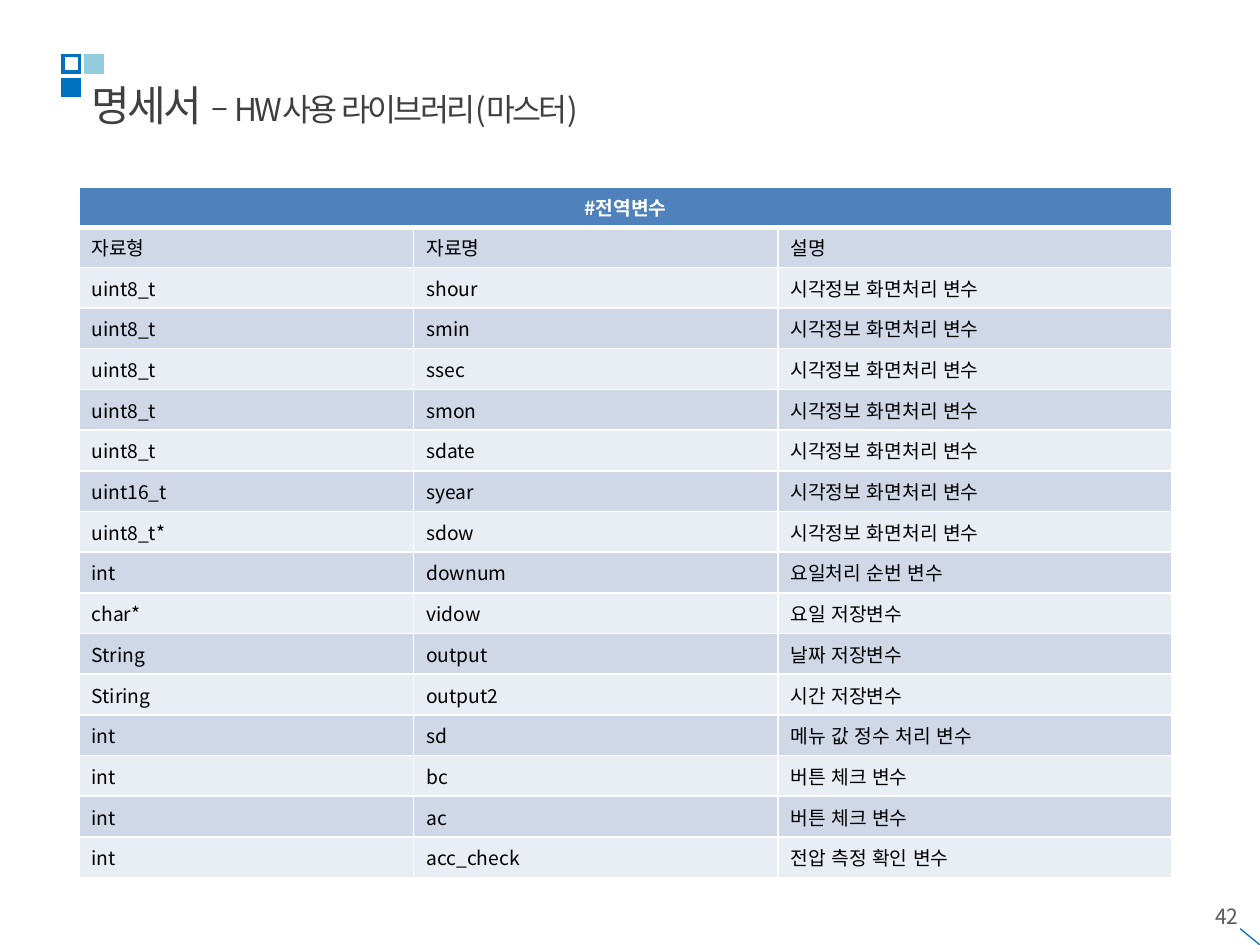
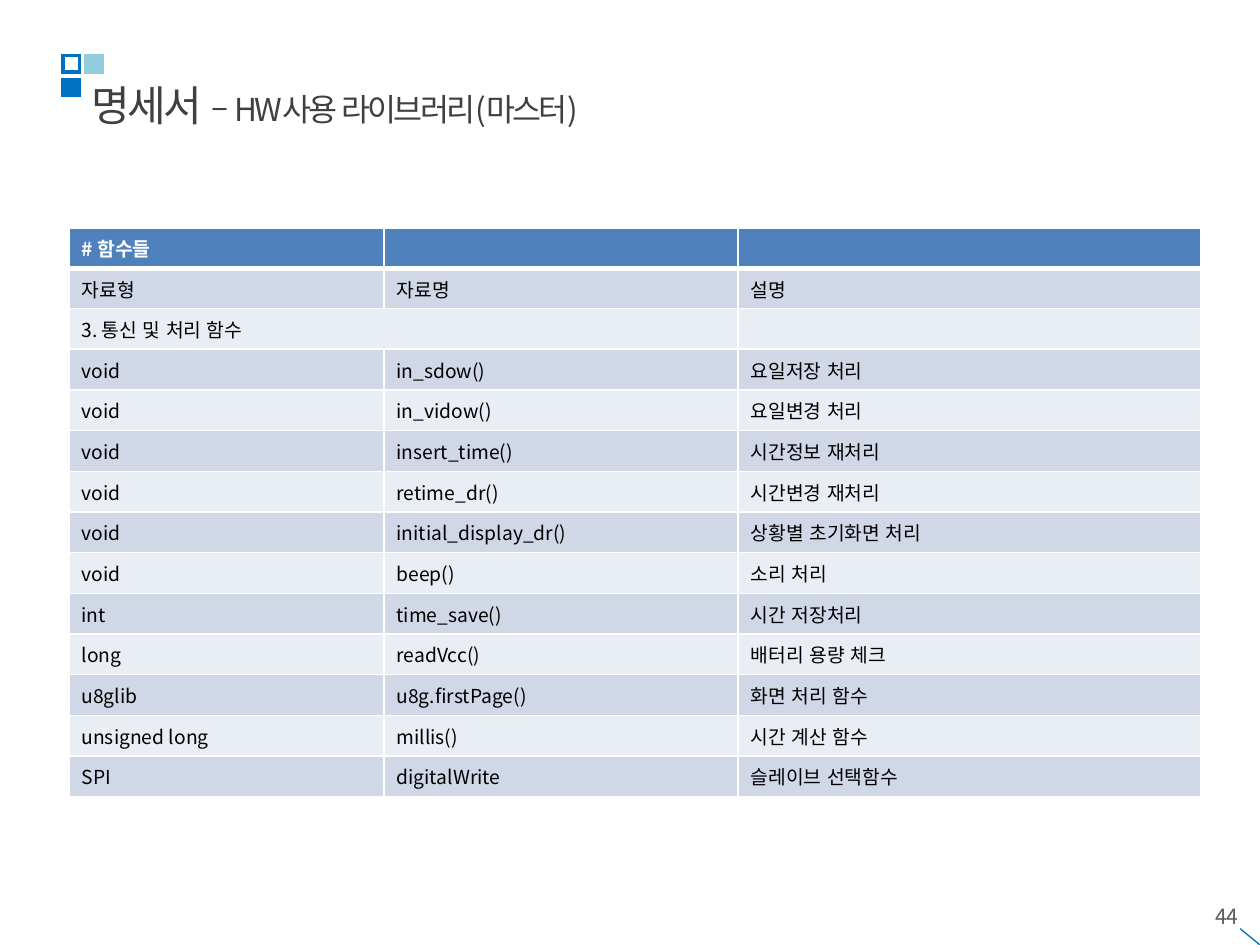
import pptx
import pptx.dml.color
import pptx.enum.shapes
import pptx.enum.text
import pptx.oxml
import pptx.oxml.ns
import pptx.util
from lxml import etree

Cm = pptx.util.Cm
Pt = pptx.util.Pt
qn = pptx.oxml.ns.qn
ALIGN = pptx.enum.text.PP_ALIGN

FONT = "Noto Sans CJK KR"
COLORS = {
    "title": "404040",
    "number": "595959",
    "outline": "595959",
    "blue": "0070C0",
    "light_blue": "93CDDD",
    "header": "4F81BD",
    "band_dark": "D0D8E8",
    "band_light": "E9EDF4",
    "white": "FFFFFF",
    "black": "000000",
}
NAMESPACE = "http://schemas.openxmlformats.org/drawingml/2006/main"
HEADING_HEIGHT = 0.81
ROW_HEIGHT = 0.82
TITLE_BOX = (1.59, 1.47, 21.82, 1.27)
NUMBER_BOX = (19.3, 18.08, 5.92, 1.02)
COLUMN_NAMES = ("자료형", "자료명", "설명")
CLOCK_NOTE = "시각정보 화면처리 변수"
CLOCK_VARIABLES = [
    ("uint8_t", "shour"),
    ("uint8_t", "smin"),
    ("uint8_t", "ssec"),
    ("uint8_t", "smon"),
    ("uint8_t", "sdate"),
    ("uint16_t", "syear"),
    ("uint8_t*", "sdow"),
]
GLOBAL_VARIABLES = [
    ("#전역변수", None, None),
    COLUMN_NAMES,
    *((kind, name, CLOCK_NOTE) for kind, name in CLOCK_VARIABLES),
    ("int", "downum", "요일처리 순번 변수"),
    ("char*", "vidow", "요일 저장변수"),
    ("String", "output", "날짜 저장변수"),
    ("Stiring", "output2", "시간 저장변수"),
    ("int", "sd", "메뉴 값 정수 처리 변수"),
    ("int", "bc", "버튼 체크 변수"),
    ("int", "ac", "버튼 체크 변수"),
    ("int", "acc_check", "전압 측정 확인 변수"),
]
FUNCTIONS = [
    ("# 함수들", "", ""),
    COLUMN_NAMES,
    ("3. 통신 및 처리 함수", None, ""),
    ("void", "in_sdow()", "요일저장 처리"),
    ("void", "in_vidow()", "요일변경 처리"),
    ("void", "insert_time()", "시간정보 재처리"),
    ("void", "retime_dr()", "시간변경 재처리"),
    ("void", "initial_display_dr()", "상황별 초기화면 처리"),
    ("void", "beep()", "소리 처리"),
    ("int", "time_save()", "시간 저장처리"),
    ("long", "readVcc()", "배터리 용량 체크"),
    ("u8glib", "u8g.firstPage()", "화면 처리 함수"),
    ("unsigned long", "millis()", "시간 계산 함수"),
    ("SPI", "digitalWrite", "슬레이브 선택함수"),
]


def rgb(name):
    return pptx.dml.color.RGBColor.from_string(COLORS[name])


def add_run(paragraph, text, size, color, bold=False):
    run = paragraph.add_run()
    run.text = text
    run.font.size = Pt(size)
    run.font.bold = bold
    run.font.name = FONT
    run.font.color.rgb = rgb(color)
    properties = run.font._element
    properties.set("lang", "ko-KR")
    latin = properties.find(qn("a:latin"))
    latin.addnext(properties.makeelement(qn("a:ea"), {"typeface": FONT}))
    return run


def outline_text(run, spacing=None):
    properties = run.font._element
    properties.insert(0, pptx.oxml.parse_xml(
        f'<a:ln xmlns:a="{NAMESPACE}" w="9525"><a:solidFill>'
        f'<a:srgbClr val="{COLORS["outline"]}"><a:alpha val="5000"/></a:srgbClr>'
        "</a:solidFill></a:ln>"))
    if spacing:
        properties.set("spc", str(spacing))


def place(shape, box):
    shape.left, shape.top, shape.width, shape.height = map(Cm, box)


def add_title(slide, box):
    title = slide.shapes.title
    place(title, box)
    frame = title.text_frame
    frame.word_wrap = True
    frame.auto_size = pptx.enum.text.MSO_AUTO_SIZE.SHAPE_TO_FIT_TEXT
    frame.vertical_anchor = pptx.enum.text.MSO_ANCHOR.TOP
    paragraph = frame.paragraphs[0]
    paragraph.alignment = ALIGN.LEFT
    for text, size in (("명세서 ", 24), ("– HW사용 라이브러리(마스터)", 18)):
        outline_text(add_run(paragraph, text, size, "title"), -150)


def add_squares(slide, left, top):
    side, column_step, row_step = 0.33, 0.46, 0.48
    squares = [
        (0, 1, "blue", "blue"),
        (0, 0, None, "blue"),
        (1, 0, "light_blue", "light_blue"),
    ]
    for column, row, fill, line in squares:
        square = slide.shapes.add_shape(
            pptx.enum.shapes.MSO_SHAPE.RECTANGLE,
            Cm(left + column * column_step), Cm(top + row * row_step),
            Cm(side), Cm(side))
        square.shadow.inherit = False
        if fill:
            square.fill.solid()
            square.fill.fore_color.rgb = rgb(fill)
        else:
            square.fill.background()
        square.line.color.rgb = rgb(line)
        square.line.width = Pt(2)
        etree.SubElement(square.line._get_or_add_ln(), qn("a:miter"), lim="800000")


def add_page_number(slide, number, box):
    left, top, width, height = box
    text_box = slide.shapes.add_textbox(*map(Cm, box))
    text_box.text_frame.word_wrap = True
    paragraph = text_box.text_frame.paragraphs[0]
    paragraph.alignment = ALIGN.RIGHT
    outline_text(add_run(paragraph, str(number), 12, "number"))
    corner = slide.shapes.add_connector(
        pptx.enum.shapes.MSO_CONNECTOR.STRAIGHT,
        Cm(25.4), Cm(19.05), Cm(left + width - 0.22), Cm(top + 0.64))
    corner.line.color.rgb = rgb("blue")
    corner.line.width = Pt(0.75)
    etree.SubElement(corner._element.spPr, qn("a:effectLst"))


def set_borders(cell, bottom):
    properties = cell._tc.get_or_add_tcPr()
    for index, (edge, width) in enumerate(
            (("lnL", 1), ("lnR", 1), ("lnT", 1), ("lnB", bottom))):
        properties.insert(index, pptx.oxml.parse_xml(
            f'<a:{edge} xmlns:a="{NAMESPACE}" w="{Pt(width)}"><a:solidFill>'
            f'<a:srgbClr val="{COLORS["white"]}"/></a:solidFill></a:{edge}>'))


def fill_cell(cell, text, row_index, centred):
    header = row_index == 0
    band = "band_dark" if row_index % 2 else "band_light"
    cell.fill.solid()
    cell.fill.fore_color.rgb = rgb("header" if header else band)
    set_borders(cell, 3 if header else 1)
    cell.vertical_anchor = pptx.enum.text.MSO_ANCHOR.MIDDLE
    paragraph = cell.text_frame.paragraphs[0]
    if centred:
        paragraph.alignment = ALIGN.CENTER
    if text:
        add_run(paragraph, text, 11, "white" if header else "black", header)
    else:
        etree.SubElement(paragraph._p, qn("a:endParaRPr"), sz="1100")


def add_listing(slide, left, top, widths, rows):
    heights = [HEADING_HEIGHT] * 2 + [ROW_HEIGHT] * (len(rows) - 2)
    table = slide.shapes.add_table(
        len(rows), len(widths), Cm(left), Cm(top),
        Cm(sum(widths)), Cm(sum(heights))).table
    for column, width in zip(table.columns, widths):
        column.width = Cm(width)
    for row_index, values in enumerate(rows):
        table.rows[row_index].height = Cm(heights[row_index])
        span = 1 + values.count(None)
        for column_index, text in enumerate(values):
            fill_cell(table.cell(row_index, column_index), text, row_index,
                      span == len(widths))
        if span > 1:
            table.cell(row_index, 0).merge(table.cell(row_index, span - 1))


def add_listing_slide(presentation, number, left, top, widths, rows):
    slide = presentation.slides.add_slide(presentation.slide_layouts[5])
    add_page_number(slide, number, NUMBER_BOX)
    add_squares(slide, 1.27, 1.12)
    add_listing(slide, left, top, widths, rows)
    add_title(slide, TITLE_BOX)


def main():
    presentation = pptx.Presentation()
    presentation.slide_width = Cm(25.4)
    presentation.slide_height = Cm(19.05)
    add_listing_slide(presentation, 42, 1.59, 3.77, (6.75, 7.34, 7.95), GLOBAL_VARIABLES)
    add_listing_slide(presentation, 44, 1.39, 4.6, (6.35, 7.14, 9.32), FUNCTIONS)
    presentation.save("out.pptx")


if __name__ == "__main__":
    main()
